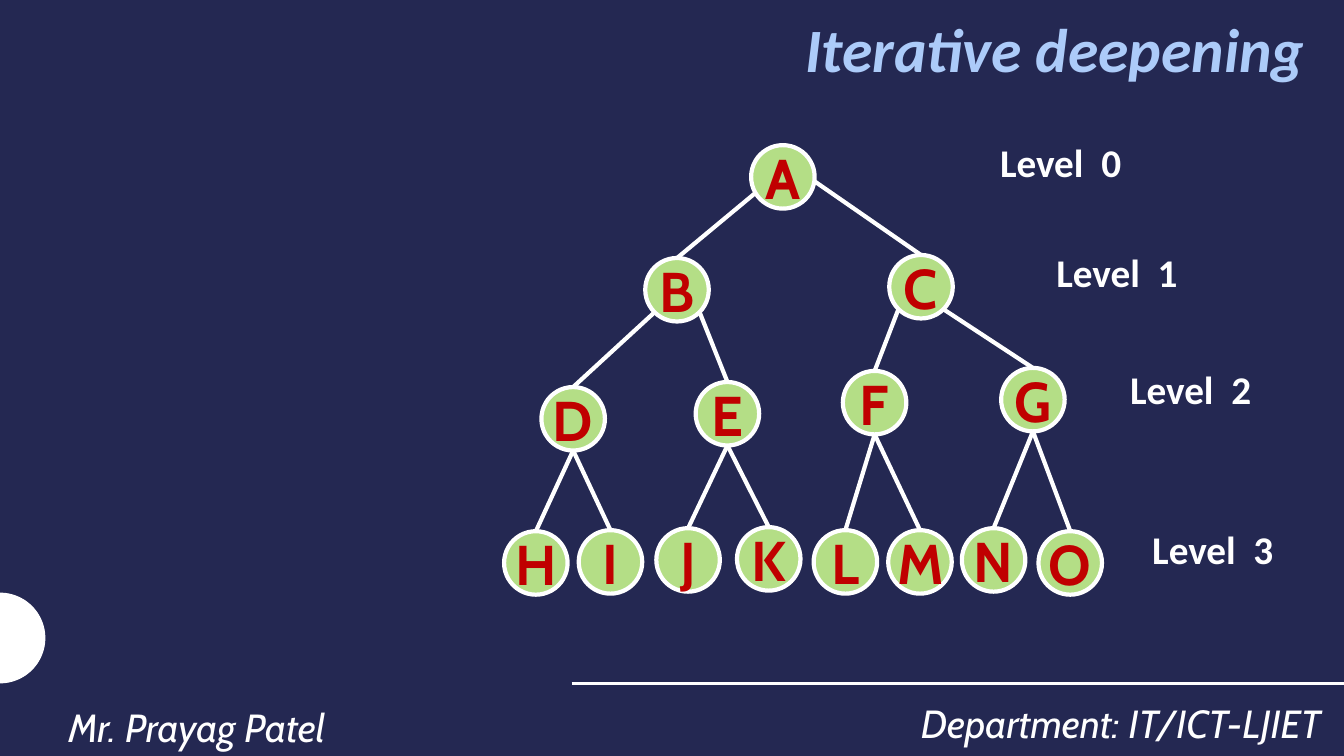
from math import cos, pi, sin

from lxml.etree import SubElement
from pptx import Presentation
from pptx.dml.color import RGBColor
from pptx.enum.shapes import MSO_CONNECTOR, MSO_SHAPE
from pptx.enum.text import MSO_ANCHOR, PP_ALIGN
from pptx.oxml.ns import qn
from pptx.util import Inches, Pt

NAVY = RGBColor(0x24, 0x28, 0x52)
WHITE = RGBColor(0xFF, 0xFF, 0xFF)
SKY = RGBColor(0xAC, 0xCB, 0xF9)
GREEN = RGBColor(0xB4, 0xDE, 0x86)
RED = RGBColor(0xC0, 0x00, 0x00)

NODE_SIZE = 0.63
NODES = {
    "A": (7.45, 1.44),
    "B": (6.4, 2.56), "C": (8.82, 2.53),
    "D": (5.37, 3.84), "E": (6.9, 3.79), "F": (8.36, 3.68), "G": (9.93, 3.65),
    "H": (5, 5.27), "I": (5.74, 5.26), "J": (6.51, 5.24), "K": (7.31, 5.23),
    "L": (8.07, 5.26), "M": (8.81, 5.26), "N": (9.54, 5.24), "O": (10.3, 5.27),
}
CHILDREN = {
    "A": "BC", "B": "DE", "C": "FG",
    "D": "HI", "E": "JK", "F": "LM", "G": "NO",
}
ROOT_EXITS = ((0.18, 0.36), (0.63, 0.36))
DIAGONAL_EXITS = ((0.09, 0.54), (0.54, 0.54))
BOTTOM_EXITS = ((0.315, 0.63), (0.315, 0.63))
EXITS = {"A": ROOT_EXITS, "B": DIAGONAL_EXITS, "C": DIAGONAL_EXITS}
LEVELS = [(9.82, 1.32), (10.38, 2.41), (11.11, 3.58), (11.33, 5.16)]


def add_span(para, text, font, size, color, bold=False, italic=False):
    span = para.add_run()
    span.text = text
    span.font.name = font
    span.font.size = Pt(size)
    span.font.color.rgb = color
    span.font.bold = bold
    span.font.italic = italic


def add_text(page, area, text, font, size, color, align=PP_ALIGN.LEFT,
             anchor=MSO_ANCHOR.TOP, spacing=1.0, **style):
    box = page.shapes.add_textbox(*[Inches(length) for length in area])
    frame = box.text_frame
    frame.word_wrap = True
    frame.vertical_anchor = anchor
    para = frame.paragraphs[0]
    para.alignment = align
    para.line_spacing = spacing
    add_span(para, text, font, size, color, **style)


def add_line(page, start, end, width):
    points = [Inches(length) for length in (*start, *end)]
    line = page.shapes.add_connector(MSO_CONNECTOR.STRAIGHT, *points)
    line.line.color.rgb = WHITE
    line.line.width = Pt(width)
    SubElement(line.element.spPr, qn("a:effectLst"))


def add_half_disc(page, center_y, radius):
    steps = 48
    angles = [-pi / 2 + pi * step / steps for step in range(steps + 1)]
    points = [(Inches(radius * cos(angle)), Inches(center_y + radius * sin(angle)))
              for angle in angles]
    builder = page.shapes.build_freeform(*points[0])
    builder.add_line_segments(points[1:], close=True)
    disc = builder.convert_to_shape()
    disc.shadow.inherit = False
    disc.fill.solid()
    disc.fill.fore_color.rgb = WHITE
    disc.line.fill.background()


def add_node(page, letter):
    left, top = NODES[letter]
    size = Inches(NODE_SIZE)
    node = page.shapes.add_shape(MSO_SHAPE.OVAL, Inches(left), Inches(top), size, size)
    node.shadow.inherit = False
    node.fill.solid()
    node.fill.fore_color.rgb = GREEN
    node.line.color.rgb = WHITE
    node.line.width = Pt(3)
    frame = node.text_frame
    frame.margin_left = frame.margin_right = frame.margin_top = frame.margin_bottom = 0
    frame.vertical_anchor = MSO_ANCHOR.MIDDLE
    para = frame.paragraphs[0]
    para.alignment = PP_ALIGN.CENTER
    add_span(para, letter, "Cabin", 40, RED, bold=True)


def add_edges(page, parent):
    left, top = NODES[parent]
    exits = EXITS.get(parent, BOTTOM_EXITS)
    for child, (across, down) in zip(CHILDREN[parent], exits):
        child_left, child_top = NODES[child]
        add_line(page, (left + across, top + down),
                 (child_left + NODE_SIZE / 2, child_top), 3)


def main():
    deck = Presentation()
    deck.slide_width = Inches(13.33)
    deck.slide_height = Inches(7.5)
    page = deck.slides.add_slide(deck.slide_layouts[6])
    page.background.fill.solid()
    page.background.fill.fore_color.rgb = NAVY

    add_half_disc(page, 6.33, 0.45)
    add_line(page, (5.67, 6.78), (13.33, 6.78), 2)
    add_text(page, (8.08, 6.82, 5.12, 0.63), "Department: IT/ICT-LJIET", "Cabin", 28,
             WHITE, align=PP_ALIGN.RIGHT, spacing=1.14, italic=True)
    add_text(page, (0.58, 6.86, 8.52, 0.63), "Mr. Prayag Patel", "Cabin", 28,
             WHITE, spacing=1.14, italic=True)
    add_text(page, (2.12, 0.03, 11.06, 0.9), "Iterative deepening ", "Calibri", 44,
             SKY, align=PP_ALIGN.RIGHT, anchor=MSO_ANCHOR.MIDDLE, bold=True, italic=True)

    for parent in CHILDREN:
        add_edges(page, parent)
    for letter in NODES:
        add_node(page, letter)
    for level, (left, top) in enumerate(LEVELS):
        add_text(page, (left, top, 2.07, 0.57), f"Level  {level}", "Calibri", 28,
                 WHITE, bold=True)

    deck.save("out.pptx")


if __name__ == "__main__":
    main()
